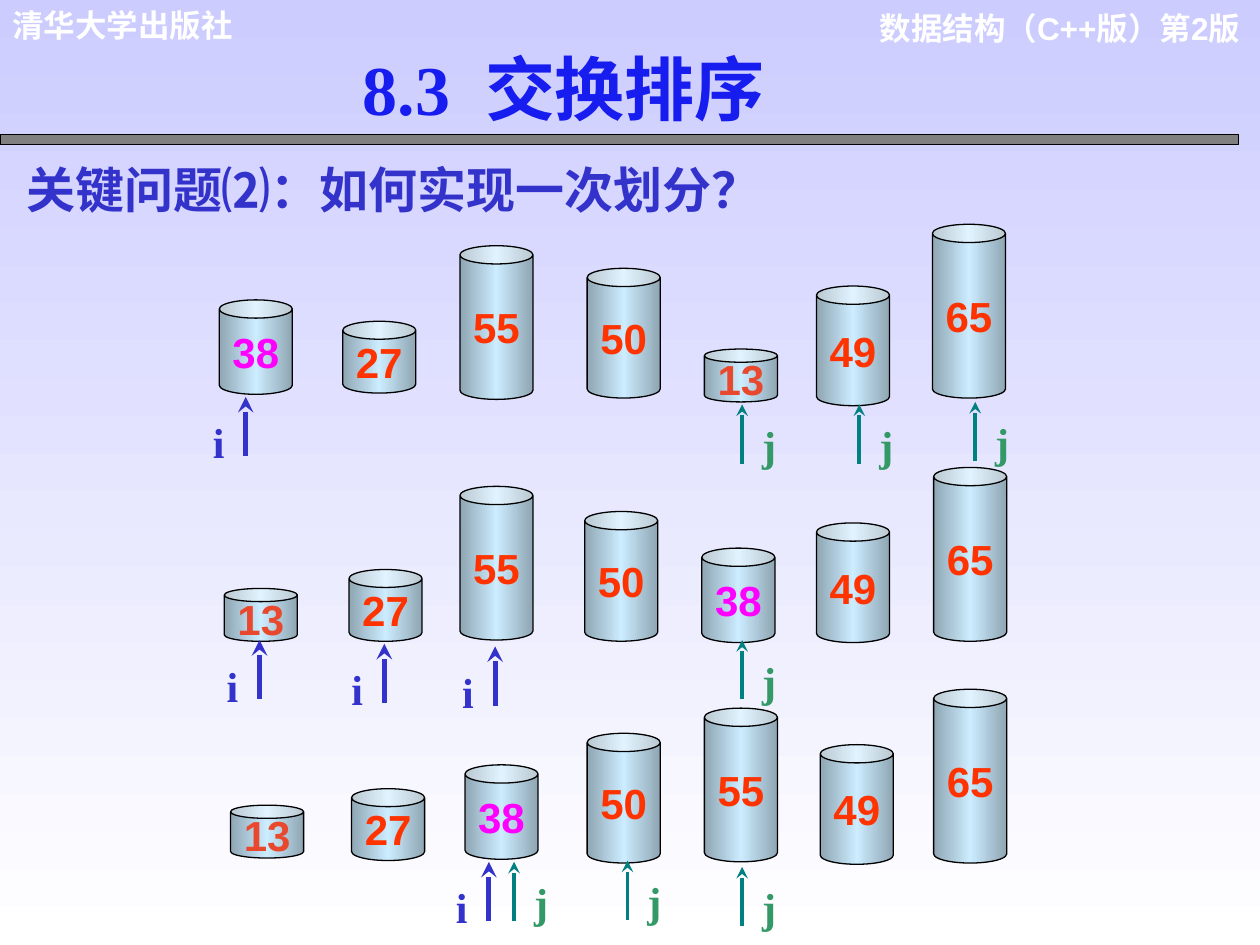
from copy import deepcopy

from lxml import etree
from pptx import Presentation
from pptx import util as u
from pptx.dml.color import RGBColor
from pptx.enum import shapes, text
from pptx.oxml.ns import qn

COLORS = {
    "sky": "CCCCFF", "white": "FFFFFF", "bar": "808080", "black": "000000",
    "can_edge": "8FA6B3", "can_mid": "CCECFF",
    "value": "FF3300", "smallest": "E8492E", "pivot": "FF00FF",
    "i": "3333CC", "j": "339966", "j_arrow": "008080", "title": "171CEF",
}
RGB = {name: RGBColor.from_string(value) for name, value in COLORS.items()}

prs = Presentation()
prs.slide_width, prs.slide_height = u.Inches(10), u.Inches(7.5)
s = prs.slides.add_slide(prs.slide_layouts[6])

bg = s.background.fill
bg.gradient()
bg.gradient_angle = 270
for stop, name in zip(bg.gradient_stops, ("sky", "white")):
    stop.color.rgb = RGB[name]


def style(p, size, font, color):
    for r in p.runs:
        r.font.size = u.Pt(size)
        r.font.name = font
        r.font.bold = True
        r.font.color.rgb = RGB[color]


def add_label(words, x, y, w, h, size, font, color):
    """Add a wrapped, one-paragraph text box and return its paragraph."""
    tf = s.shapes.add_textbox(*map(u.Inches, (x, y, w, h))).text_frame
    tf.word_wrap = True
    p = tf.paragraphs[0]
    p.text = words
    style(p, size, font, color)
    return p


# Header
p = add_label("数据结构（C++版）第2版", 6.77, 0.02, 3.17, 0.4, 18, "Arial", "white")
p.alignment = text.PP_ALIGN.RIGHT
add_label("清华大学出版社", 0, 0, 2.71, 0.4, 18, "Arial", "white")

bar = s.shapes.add_shape(shapes.MSO_SHAPE.RECTANGLE, 0, u.Inches(1.07),
                         u.Inches(9.83), u.Inches(0.08))
bar.shadow.inherit = False
bar.fill.solid()
bar.fill.fore_color.rgb = RGB["bar"]
bar.line.color.rgb = RGB["black"]
bar.line.width = u.Pt(0.75)

# Cans: height follows the value, each row is one state of the partition
CAN_WIDTH = 0.58
CAN_HEIGHTS = {13: 0.42, 27: 0.57, 38: 0.75, 49: 0.95, 50: 1.03, 55: 1.22, 65: 1.38}
CAN_COLORS = {13: "smallest", 38: "pivot"}
ROWS = [  # (value, left, top)
    [(38, 1.74, 2.38), (27, 2.72, 2.55), (55, 3.65, 1.95), (50, 4.66, 2.13),
     (13, 5.59, 2.77), (49, 6.48, 2.27), (65, 7.4, 1.78)],
    [(13, 1.78, 4.67), (27, 2.77, 4.52), (55, 3.65, 3.86), (50, 4.64, 4.06),
     (38, 5.57, 4.35), (49, 6.48, 4.15), (65, 7.41, 3.71)],
    [(13, 1.83, 6.39), (27, 2.79, 6.26), (38, 3.69, 6.07), (50, 4.66, 5.82),
     (55, 5.59, 5.62), (49, 6.51, 5.91), (65, 7.41, 5.47)],
]
for row in ROWS:
    for value, x, y in row:
        sp = s.shapes.add_shape(
            shapes.MSO_SHAPE.CAN, u.Inches(x), u.Inches(y),
            u.Inches(CAN_WIDTH), u.Inches(CAN_HEIGHTS[value]))
        sp.shadow.inherit = False
        sp.line.color.rgb = RGB["black"]
        sp.line.width = u.Pt(0.75)
        sp.fill.gradient()
        sp.fill.gradient_angle = 0
        stops = sp._element.spPr.find(qn("a:gradFill")).find(qn("a:gsLst"))
        stops.insert(1, deepcopy(stops[0]))
        stops[1].set("pos", "50000")
        for stop, name in zip(sp.fill.gradient_stops,
                              ("can_edge", "can_mid", "can_edge")):
            stop.color.rgb = RGB[name]
        tf = sp.text_frame
        tf.word_wrap = False
        tf.vertical_anchor = text.MSO_ANCHOR.MIDDLE
        p = tf.paragraphs[0]
        p.text = str(value)
        p.alignment = text.PP_ALIGN.CENTER
        style(p, 24, "Arial", CAN_COLORS.get(value, "value"))

add_label("关键问题⑵：如何实现一次划分？", 0.11, 1.22, 8.28, 0.57, 28, "Arial", "i")

# Index markers: an upward arrow with its letter beside it
ARROW_LENGTH = 0.47
MARKERS = {  # letter: (arrow colour, width, label dx, label dy, arrow tips)
    "i": ("i", 3, -0.36, 0.11,
          [(1.95, 3.15), (2.06, 5.08), (3.05, 5.11), (3.93, 5.13), (3.88, 6.84)]),
    "j": ("j_arrow", 2.25, 0.06, 0.07,
          [(7.74, 3.19), (6.82, 3.21), (5.89, 3.21), (5.89, 5.08),
           (4.98, 6.83), (4.08, 6.84), (5.89, 6.88)]),
}
for letter, (color, width, dx, dy, tips) in MARKERS.items():
    for x, y in tips:
        arrow = s.shapes.add_connector(
            shapes.MSO_CONNECTOR.STRAIGHT, u.Inches(x), u.Inches(y + ARROW_LENGTH),
            u.Inches(x), u.Inches(y))
        arrow.line.color.rgb = RGB[color]
        arrow.line.width = u.Pt(width)
        etree.SubElement(arrow.line._get_or_add_ln(), qn("a:tailEnd"), type="stealth")
        etree.SubElement(arrow._element.spPr, qn("a:effectLst"))
        add_label(letter, x + dx, y + dy, 0.25, 0.5, 24, "Times New Roman", letter)

# Title: the space is widened by character spacing, the letters cast a shadow
p = add_label("8.3", 2.78, 0.31, 3.94, 0.77, 40, "Times New Roman", "title")
for part in (" ", "交换排序"):
    p.add_run().text = part
style(p, 40, "Times New Roman", "title")
p.runs[1]._r.get_or_add_rPr().set("spc", "1000")
for r in p.runs:
    effects = etree.Element(qn("a:effectLst"))
    shadow = etree.SubElement(effects, qn("a:outerShdw"), blurRad="38100",
                              dist="38100", dir="2700000", algn="tl")
    tint = etree.SubElement(shadow, qn("a:srgbClr"), val=COLORS["black"])
    etree.SubElement(tint, qn("a:alpha"), val="43000")
    r.font._element.find(qn("a:solidFill")).addnext(effects)

prs.save("out.pptx")
